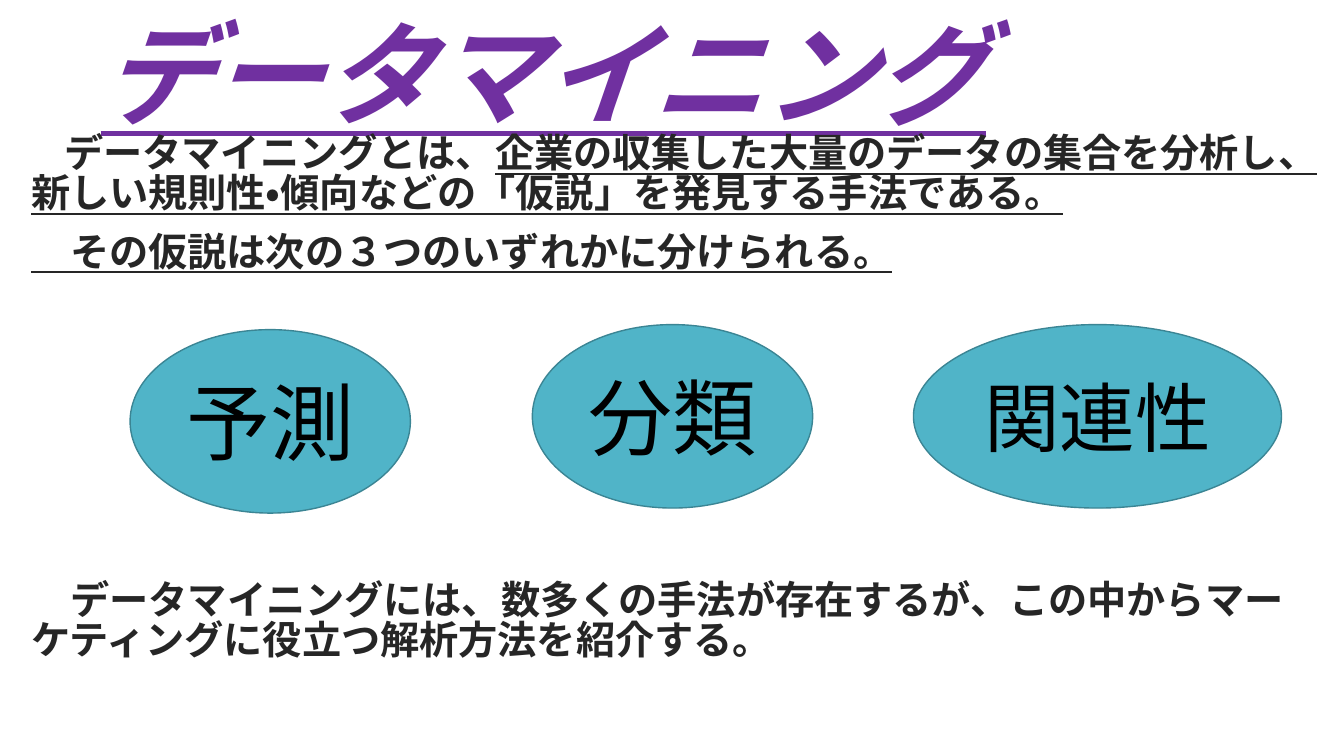
"""Build the data mining introduction slide."""
from dataclasses import dataclass

from pptx import Presentation
from pptx.dml.color import RGBColor
from pptx.enum.lang import MSO_LANGUAGE_ID
from pptx.enum.shapes import MSO_SHAPE
from pptx.enum.text import MSO_ANCHOR, PP_ALIGN
from pptx.slide import Slide
from pptx.text.text import TextFrame
from pptx.util import Inches, Pt

ELLIPSE = MSO_SHAPE.OVAL
MIDDLE = MSO_ANCHOR.MIDDLE
CENTER = PP_ALIGN.CENTER
JAPANESE = MSO_LANGUAGE_ID.JAPANESE


@dataclass(frozen=True)
class Theme:
    """Colours, fonts and type sizes of the slide."""
    title: RGBColor = RGBColor(0x70, 0x30, 0xA0)
    body: RGBColor = RGBColor(0x26, 0x26, 0x26)
    label: RGBColor = RGBColor(0, 0, 0)
    fill: RGBColor = RGBColor(0x50, 0xB4, 0xC8)
    outline: RGBColor = RGBColor(0x3B, 0x85, 0x94)
    heading_font: str = "Calibri"
    body_font: str = "Arial"
    title_size: int = 80
    body_size: int = 28
    line_spacing: float = 0.85
    space_before: int = 13


@dataclass(frozen=True)
class Span:
    """A stretch of text with its emphasis."""
    text: str
    underline: bool = False


@dataclass(frozen=True)
class Para:
    """A body paragraph with its first-line indent in inches."""
    spans: tuple[Span, ...]
    indent: float = 0


@dataclass(frozen=True)
class Category:
    """A labelled ellipse placed in inches."""
    label: str
    left: float
    top: float
    width: float
    size: int


THEME = Theme()
ELLIPSE_HEIGHT = 1.82
DEFINITION = (
    Para((Span("データマイニングとは、"),
          Span("企業の収集した大量のデータの集合を分析し、"
               "新しい規則性・傾向などの「仮説」を発見する手法である。", True)), 0.33),
    Para((Span("　その仮説は次の３つのいずれかに分けられる。", True),)),
)
OUTLOOK = (
    Para((Span("データマイニングには、数多くの手法が存在するが、"
               "この中からマーケティングに役立つ解析方法を紹介する。"),), 0.39),
)
CATEGORIES = (
    Category("予測", 1.29, 3.27, 2.78, 60),
    Category("分類", 5.28, 3.22, 2.78, 60),
    Category("関連性", 9.06, 3.22, 3.65, 54),
)


def add_box(s: Slide, left: float, top: float, width: float, height: float) -> TextFrame:
    """Add a wrapping text box and return its text frame."""
    sp = s.shapes.add_textbox(Inches(left), Inches(top), Inches(width), Inches(height))
    sp.text_frame.word_wrap = True
    return sp.text_frame


def add_title(s: Slide, text: str) -> None:
    """Add the large underlined title."""
    tf = add_box(s, 0.9, 0.1, 9.4, 1.44)
    tf.vertical_anchor = MIDDLE
    p = tf.paragraphs[0]
    p.text = text
    p.line_spacing = THEME.line_spacing
    r = p.runs[0]
    r.font.name = THEME.heading_font
    r.font.size = Pt(THEME.title_size)
    r.font.bold = r.font.italic = r.font.underline = True
    r.font.color.rgb = THEME.title
    r.font.language_id = JAPANESE
    r.font._element.set("spc", "-120")


def add_body(s: Slide, top: float, height: float, paras: tuple[Para, ...]) -> None:
    """Add a block of bold body paragraphs."""
    tf = add_box(s, 0.21, top, 12.95, height)
    for i, para in enumerate(paras):
        p = tf.add_paragraph() if i else tf.paragraphs[0]
        p.line_spacing = THEME.line_spacing
        p.space_before = Pt(THEME.space_before if i else 0)
        p._p.get_or_add_pPr().set("indent", str(Inches(para.indent)))
        for span in para.spans:
            r = p.add_run()
            r.text = span.text
            r.font.name = THEME.body_font
            r.font.size = Pt(THEME.body_size)
            r.font.bold = True
            r.font.underline = span.underline
            r.font.color.rgb = THEME.body
            r.font.language_id = JAPANESE


def add_category(s: Slide, category: Category) -> None:
    """Add one labelled ellipse."""
    sp = s.shapes.add_shape(ELLIPSE, Inches(category.left), Inches(category.top),
                            Inches(category.width), Inches(ELLIPSE_HEIGHT))
    sp.shadow.inherit = False
    sp.fill.solid()
    sp.fill.fore_color.rgb = THEME.fill
    sp.line.color.rgb = THEME.outline
    sp.line.width = Pt(1)
    tf = sp.text_frame
    tf.text = category.label
    tf.vertical_anchor = MIDDLE
    p = tf.paragraphs[0]
    p.alignment = CENTER
    r = p.runs[0]
    r.font.name = THEME.heading_font
    r.font.size = Pt(category.size)
    r.font.color.rgb = THEME.label
    r.font.language_id = JAPANESE


def main() -> None:
    """Build and save the slide."""
    prs = Presentation()
    prs.slide_width, prs.slide_height = Inches(13.33), Inches(7.5)
    s = prs.slides.add_slide(prs.slide_layouts[6])
    add_title(s, "データマイニング")
    add_body(s, 1.3, 1.5, DEFINITION)
    add_body(s, 5.73, 1.07, OUTLOOK)
    for category in CATEGORIES:
        add_category(s, category)
    prs.save("out.pptx")


if __name__ == "__main__":
    main()
